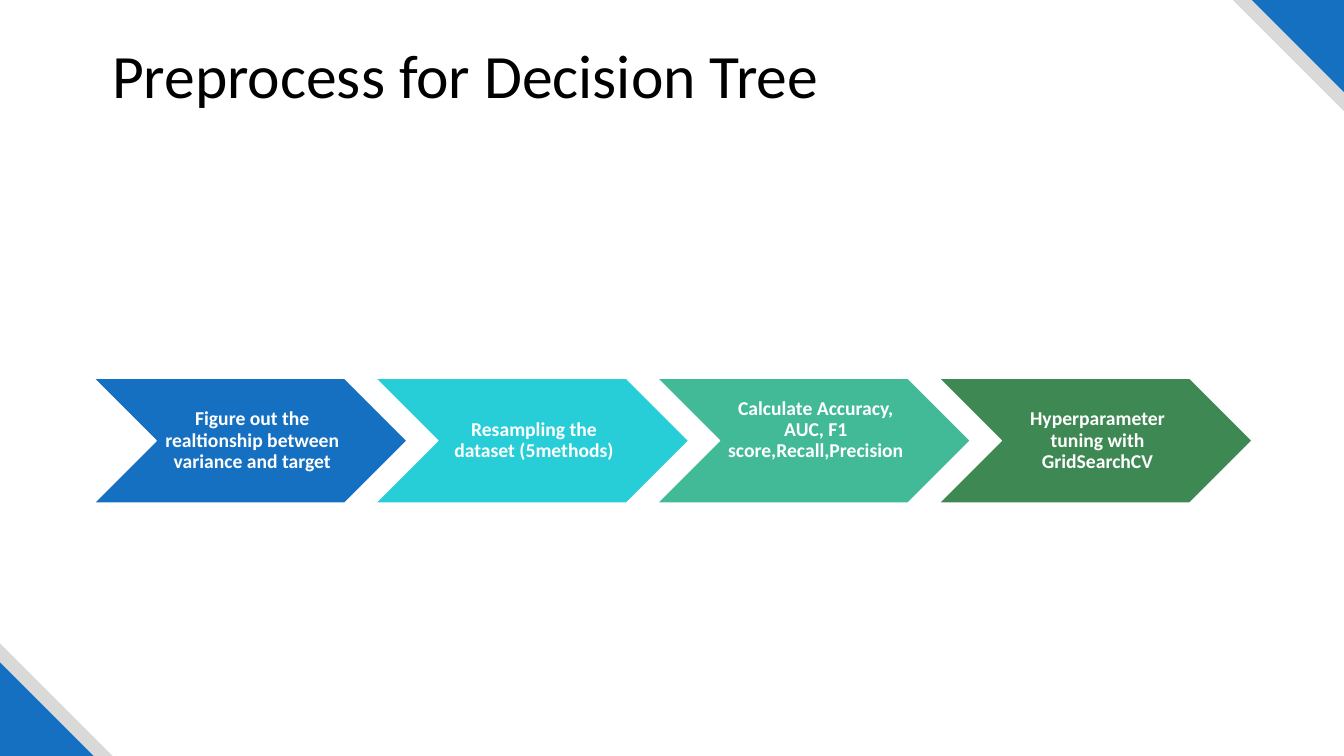
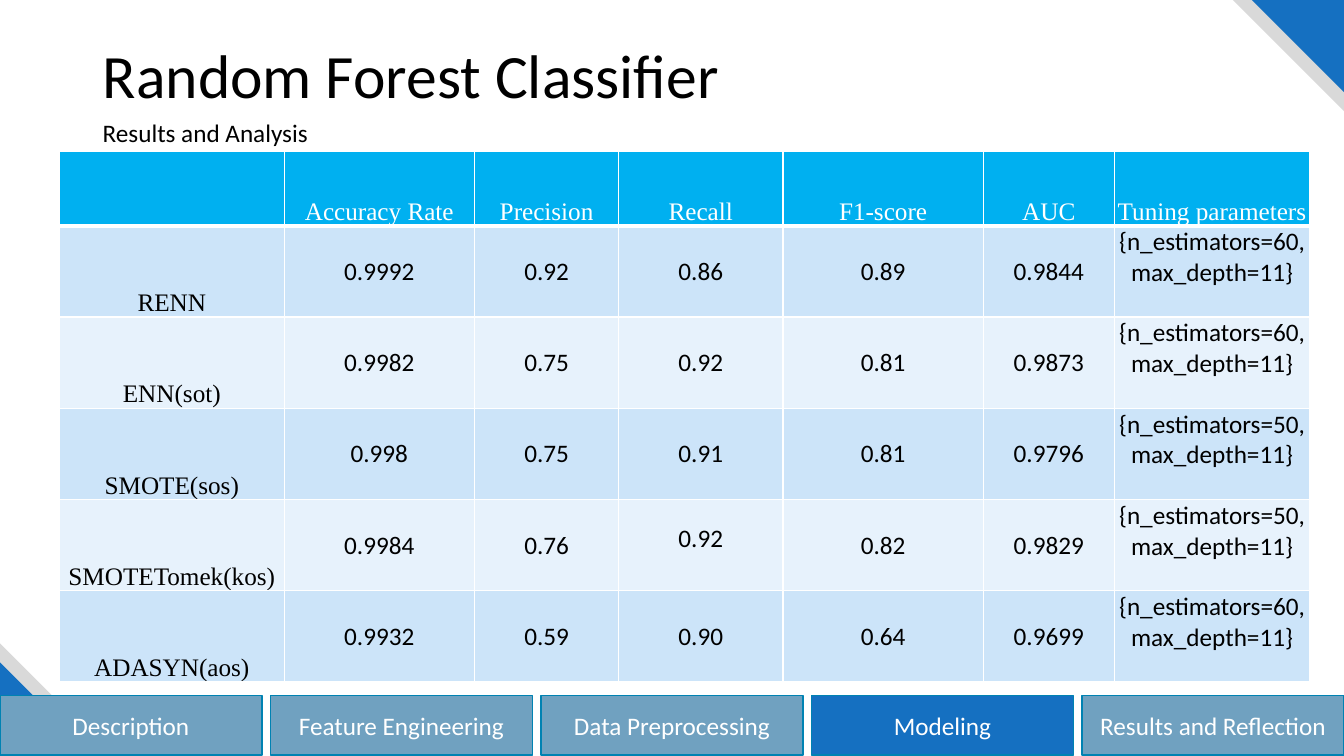
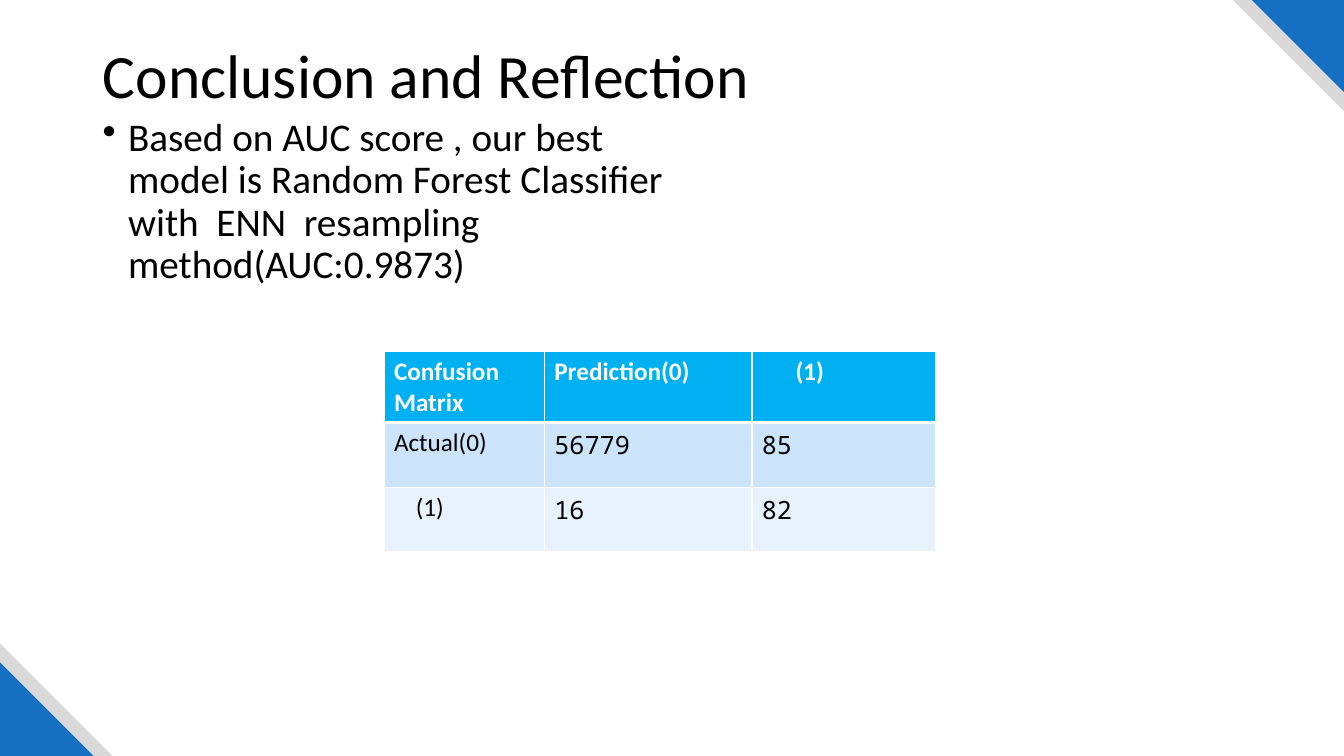
from dataclasses import dataclass, replace
from itertools import accumulate
from typing import Callable, Optional

import pptx
import pptx.dml.color
import pptx.enum.shapes
import pptx.enum.text
import pptx.oxml
import pptx.oxml.ns
import pptx.util

Cm, Pt = pptx.util.Cm, pptx.util.Pt
ALIGN = pptx.enum.text.PP_ALIGN
ANCHOR = pptx.enum.text.MSO_ANCHOR
SHAPE = pptx.enum.shapes.MSO_SHAPE

SLIDE_W, SLIDE_H = 33.87, 19.05
MARGIN = 2.34
COLORS = {
    "blue": "1570C1", "cyan": "27CED7", "teal": "42BA97", "green": "3E8853",
    "gray": "D9D9D9", "white": "FFFFFF", "black": "000000",
    "header": "00B0F0", "band_dark": "CCE4F9", "band_light": "E7F2FC",
    "tab": "70A1C0", "tab_line": "0082B2",
}


@dataclass(frozen=True)
class TextStyle:
    size: float = 18
    color: str = "black"
    bold: bool = False
    font: str = "Calibri"
    align: ALIGN = ALIGN.LEFT
    spacing: float = 1.0


@dataclass(frozen=True)
class CellStyle:
    text: TextStyle
    anchor: ANCHOR
    margins: tuple[float, float, float, float]  # left, top, right, bottom


@dataclass(frozen=True)
class Step:
    label: str
    color: str
    bottom_inset: float = 0.05


@dataclass(frozen=True)
class Corner:
    size: float
    color: str
    top_right: bool


TITLE = TextStyle(size=44, spacing=0.9)
STEP_TEXT = TextStyle(size=14, color="white", bold=True, align=ALIGN.CENTER, spacing=0.9)
TAB_TEXT = TextStyle(color="white", align=ALIGN.CENTER)

CORNERS = [
    Corner(2.84, "gray", False),
    Corner(2.36, "blue", False),
    Corner(2.8, "gray", True),
    Corner(2.32, "blue", True),
]
STEPS = [
    Step("Figure out the realtionship between variance and target", "blue"),
    Step("Resampling the dataset (5methods)", "cyan"),
    Step("Calculate Accuracy, AUC, F1 score,Recall,Precision", "teal", 0.58),
    Step("Hyperparameter tuning with GridSearchCV", "green"),
]
TABS = ["Description", "Feature Engineering", "Data Preprocessing", "Modeling",
        "Results and Reflection"]
RESULTS = [
    ["", "Accuracy Rate", "Precision", "Recall", "F1-score", "AUC", "Tuning parameters"],
    ["RENN", "0.9992", "0.92", "0.86", "0.89", "0.9844", "{n_estimators=60, max_depth=11}"],
    ["ENN(sot)", "0.9982", "0.75", "0.92", "0.81", "0.9873", "{n_estimators=60, max_depth=11}"],
    ["SMOTE(sos)", "0.998", "0.75", "0.91", "0.81", "0.9796", "{n_estimators=50, max_depth=11}"],
    ["SMOTETomek(kos)", "0.9984", "0.76", "0.92", "0.82", "0.9829",
     "{n_estimators=50, max_depth=11}"],
    ["ADASYN(aos)", "0.9932", "0.59", "0.90", "0.64", "0.9699", "{n_estimators=60, max_depth=11}"],
]
CONFUSION = [
    ["Confusion Matrix", "Prediction(0)", "(1)"],
    ["Actual(0)", "56779", "85"],
    ["(1)", "16", "82"],
]


# Shared helpers
def rgb(name: str) -> pptx.dml.color.RGBColor:
    return pptx.dml.color.RGBColor.from_string(COLORS[name])


def write(frame, text: str, style: TextStyle):
    paragraph = frame.paragraphs[0]
    paragraph.alignment = style.align
    paragraph.line_spacing = style.spacing
    run = paragraph.add_run()
    run.text = text
    run.font.size = Pt(style.size)
    run.font.name = style.font
    run.font.bold = style.bold
    run.font.color.rgb = rgb(style.color)
    return paragraph


def add_block(slide, kind: SHAPE, box: tuple[float, float, float, float],
              fill: str, line: Optional[str] = None):
    block = slide.shapes.add_shape(kind, *map(Cm, box))
    block.shadow.inherit = False
    block.fill.solid()
    block.fill.fore_color.rgb = rgb(fill)
    if line:
        block.line.color.rgb = rgb(line)
        block.line.width = Pt(1)
    else:
        block.line.fill.background()
    return block


def add_textbox(slide, box: tuple[float, float, float, float], text: str,
                style: TextStyle, wrap: bool = True):
    textbox = slide.shapes.add_textbox(*map(Cm, box))
    textbox.text_frame.word_wrap = wrap
    return write(textbox.text_frame, text, style)


def add_titled_slide(deck, title: str, left: float = MARGIN):
    slide = deck.slides.add_slide(deck.slide_layouts[5])
    heading = slide.shapes.title
    heading.left, heading.top, heading.width, heading.height = map(Cm, (left, 1.02, 29.2, 3.1))
    heading.text_frame.auto_size = pptx.enum.text.MSO_AUTO_SIZE.NONE
    heading.text_frame.vertical_anchor = ANCHOR.TOP
    write(heading.text_frame, title, TITLE)
    return slide


def set_layout_corners(slide) -> None:
    """Draw the corner triangles and move them to the layout that all slides share."""
    tree = slide.slide_layout.shapes.element
    for order, corner in enumerate(CORNERS):
        size = corner.size
        left, top = (SLIDE_W - size, 0) if corner.top_right else (0, SLIDE_H - size)
        triangle = add_block(slide, SHAPE.RIGHT_TRIANGLE, (left, top, size, size), corner.color)
        triangle.rotation = 180 if corner.top_right else 0
        tree.insert(2 + order, triangle.element)


# Tables
def set_borders(cell, top: float, bottom: float) -> None:
    properties = cell._tc.get_or_add_tcPr()
    for side, width in (("L", 1), ("R", 1), ("T", top), ("B", bottom)):
        properties.append(pptx.oxml.parse_xml(
            f'<a:ln{side} {pptx.oxml.ns.nsdecls("a")} w="{Pt(width)}"><a:solidFill>'
            f'<a:srgbClr val="{COLORS["white"]}"/></a:solidFill></a:ln{side}>'))


def add_grid(slide, left: float, top: float, widths: list[float], heights: list[float],
             rows: list[list[str]], style_of: Callable[[int, int], CellStyle]) -> None:
    table = slide.shapes.add_table(len(rows), len(widths), Cm(left), Cm(top),
                                   Cm(sum(widths)), Cm(sum(heights))).table
    for column, width in zip(table.columns, widths):
        column.width = Cm(width)
    for r, (texts, height) in enumerate(zip(rows, heights)):
        table.rows[r].height = Cm(height)
        fill = "header" if r == 0 else "band_dark" if r % 2 else "band_light"
        for c, text in enumerate(texts):
            cell, style = table.cell(r, c), style_of(r, c)
            set_borders(cell, top=3 if r == 1 else 1, bottom=3 if r == 0 else 1)
            cell.fill.solid()
            cell.fill.fore_color.rgb = rgb(fill)
            cell.vertical_anchor = style.anchor
            (cell.margin_left, cell.margin_top,
             cell.margin_right, cell.margin_bottom) = map(Cm, style.margins)
            if text:
                write(cell.text_frame, text, style.text)


def results_style(row: int, column: int) -> CellStyle:
    text = TextStyle(align=ALIGN.CENTER)
    margins = (0.02, 0.02, 0.02, 0)
    if row == 0 or column == 0:
        color = "white" if row == 0 else "black"
        text = replace(text, font="Times New Roman", color=color)
        return CellStyle(text, ANCHOR.BOTTOM, margins)
    if column == len(RESULTS[0]) - 1:
        return CellStyle(text, ANCHOR.TOP, margins)
    if (row, column) == (4, 3):  # this value sits a little higher
        margins = (0.02, 0.02, 0.02, 0.36)
    return CellStyle(text, ANCHOR.MIDDLE, margins)


def confusion_style(row: int, column: int) -> CellStyle:
    text = TextStyle()
    if row == 0:
        text = TextStyle(color="white", bold=True)
    elif column > 0:
        text = TextStyle(font="Noto Sans Mono")
    indent = {(0, 2): 1.1, (2, 0): 0.8}.get((row, column), 0.25)
    return CellStyle(text, ANCHOR.TOP, (indent, 0.13, 0.25, 0.13))


# Slides
def build_preprocess(deck) -> None:
    slide = add_titled_slide(deck, "Preprocess for Decision Tree", left=2.57)
    set_layout_corners(slide)
    pitch = 7.1
    for i, step in enumerate(STEPS):
        chevron = add_block(slide, SHAPE.CHEVRON, (MARGIN + 0.02 + i * pitch, 9.53, 7.9, 3.15),
                            step.color, "white")
        frame = chevron.text_frame
        frame.word_wrap = True
        frame.vertical_anchor = ANCHOR.MIDDLE
        frame.margin_left = Cm(0.15)
        frame.margin_top = frame.margin_right = Cm(0.05)
        frame.margin_bottom = Cm(step.bottom_inset)
        write(frame, step.label, STEP_TEXT)


def build_results(deck) -> None:
    slide = add_titled_slide(deck, "Random Forest Classifier")
    # Section tabs along the bottom
    tab_width, tab_height = 6.6, 1.5
    pitch = (SLIDE_W - tab_width) / (len(TABS) - 1)
    for i, name in enumerate(TABS):
        tab = add_block(slide, SHAPE.RECTANGLE, (i * pitch, 17.53, tab_width, tab_height),
                        "blue" if name == "Modeling" else "tab", "tab_line")
        tab.text_frame.word_wrap = True
        tab.text_frame.vertical_anchor = ANCHOR.MIDDLE
        write(tab.text_frame, name, TAB_TEXT)
    add_textbox(slide, (MARGIN, 2.84, 5.74, 1.02), "Results and Analysis", TextStyle(), wrap=False)
    add_grid(slide, 1.5, 3.82, [5.66, 4.8, 3.63, 4.14, 5.05, 3.3, 4.93],
             [1.87] + [2.3] * 5, RESULTS, results_style)


def build_conclusion(deck) -> None:
    slide = add_titled_slide(deck, "Conclusion and Reflection")
    finding = add_textbox(
        slide, (MARGIN, 2.84, 15.42, 6.8),
        "Based on AUC score , our best model is Random Forest "
        "Classifier  with  ENN  resampling method(AUC:0.9873)",
        TextStyle(size=28, spacing=0.9))
    properties = finding._p.get_or_add_pPr()
    properties.set("marL", str(Cm(0.64)))
    properties.set("indent", str(-Cm(0.64)))
    properties.append(pptx.oxml.parse_xml(
        f'<a:buChar {pptx.oxml.ns.nsdecls("a")} char="•"/>'))
    add_grid(slide, 9.68, 8.86, [4.04, 5.23, 4.62], [1.76, 1.63, 1.63],
             CONFUSION, confusion_style)


def main() -> None:
    deck = pptx.Presentation()
    deck.slide_width, deck.slide_height = Cm(SLIDE_W), Cm(SLIDE_H)
    build_preprocess(deck)
    build_results(deck)
    build_conclusion(deck)
    deck.save("out.pptx")


if __name__ == "__main__":
    main()
